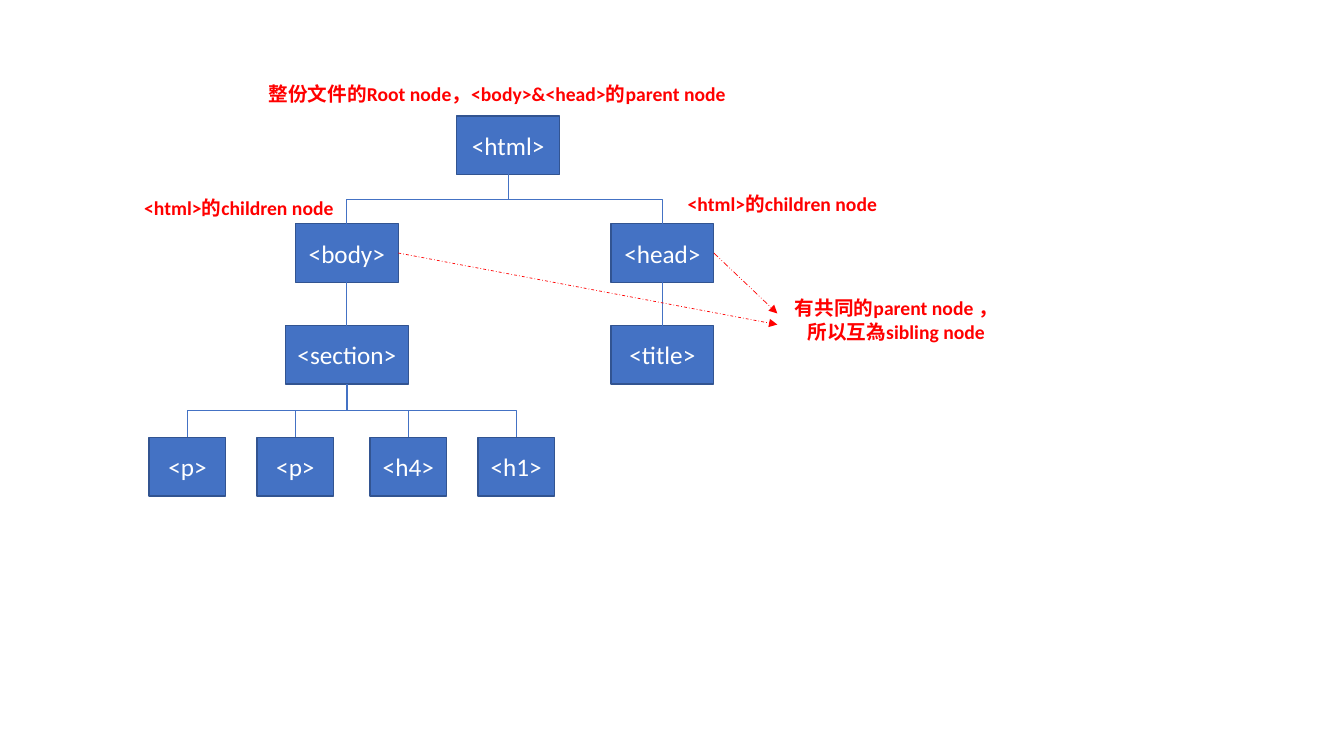
from pptx import Presentation
from pptx.dml.color import RGBColor
from pptx.enum.dml import MSO_LINE
from pptx.enum.shapes import MSO_CONNECTOR, MSO_SHAPE
from pptx.enum.text import MSO_ANCHOR, PP_ALIGN
from pptx.oxml.ns import qn
from pptx.util import Inches, Pt
from lxml import etree

RECTANGLE = MSO_SHAPE.RECTANGLE
STRAIGHT, ELBOW = MSO_CONNECTOR.STRAIGHT, MSO_CONNECTOR.ELBOW
CENTER, MIDDLE = PP_ALIGN.CENTER, MSO_ANCHOR.MIDDLE
DASH_DOT_DOT, DASH_DOT = MSO_LINE.DASH_DOT_DOT, MSO_LINE.DASH_DOT
TOP, BOTTOM, RIGHT = 0, 2, 3

BLUE = RGBColor(0x44, 0x72, 0xC4)
DARK_BLUE = RGBColor(0x32, 0x54, 0x91)
WHITE = RGBColor(0xFF, 0xFF, 0xFF)
RED = RGBColor(0xFF, 0x00, 0x00)
FONT = "Calibri"

NODE_HEIGHT = 0.58
NODES = {
    "html": ("<html>", 3.05, 0, 1.02),
    "body": ("<body>", 1.45, 1.07, 1.02),
    "head": ("<head>", 4.58, 1.07, 1.02),
    "section": ("<section>", 1.35, 2.08, 1.22),
    "title": ("<title>", 4.58, 2.08, 1.02),
    "first p": ("<p>", 0, 3.19, 0.76),
    "second p": ("<p>", 1.07, 3.19, 0.76),
    "h4": ("<h4>", 2.19, 3.19, 0.76),
    "h1": ("<h1>", 3.26, 3.19, 0.76),
}
CHILDREN = {
    "html": ["body", "head"],
    "body": ["section"],
    "head": ["title"],
    "section": ["first p", "second p", "h4", "h1"],
}
CHILD_LABEL = "<html>的children node"
LABELS = [
    ("整份文件的Root node，<body>&<head>的parent node", 0.4, 0, 6.58, 0.34),
    (CHILD_LABEL, 0, 1.13, 2.26, 0.34),
    (CHILD_LABEL, 5.39, 1.09, 2.26, 0.34),
    ("有共同的parent node ，所以互為sibling node", 6.52, 2.13, 2.26, 0.57),
]
SIBLING_ARROWS = [
    ("head", 6.47, 2.35, DASH_DOT_DOT),
    ("body", 6.47, 2.46, DASH_DOT),
]


def write_text(shape, text, size, color, bold=False):
    """Put one centred, wrapping paragraph into a shape."""
    shape.text_frame.word_wrap = True
    paragraph = shape.text_frame.paragraphs[0]
    paragraph.text = text
    paragraph.alignment = CENTER
    font = paragraph.font
    font.name, font.size, font.bold = FONT, Pt(size), bold
    font.color.rgb = color


def style_connector(connector, color):
    """Give a connector a thin line without a shadow."""
    connector.line.color.rgb = color
    connector.line.width = Pt(0.5)
    etree.SubElement(connector._element.spPr, qn("a:effectLst"))


def add_node(slide, text, left, top, width):
    """Add one tag box and return it."""
    shape = slide.shapes.add_shape(
        RECTANGLE, left, top, Inches(width), Inches(NODE_HEIGHT))
    shape.shadow.inherit = False
    shape.fill.solid()
    shape.fill.fore_color.rgb = BLUE
    shape.line.color.rgb = DARK_BLUE
    shape.line.width = Pt(1)
    frame = shape.text_frame
    frame.vertical_anchor = MIDDLE
    frame.margin_left = frame.margin_right = 0
    write_text(shape, text, 18, WHITE)
    return shape


def turn_elbow(connector, parent, child):
    """Turn an elbow so that it leaves the parent downwards."""
    start = parent.left + parent.width // 2
    end = child.left + child.width // 2
    top = parent.top + parent.height
    drop, span = child.top - top, abs(end - start)
    connector.left = (start + end - drop) // 2
    connector.top = top + (drop - span) // 2
    connector.width, connector.height = drop, span
    transform = connector._element.spPr.find(qn("a:xfrm"))
    goes_right = end > start
    transform.set("rot", "16200000" if goes_right else "5400000")
    transform.set("flipH", "1" if goes_right else "0")
    transform.set("flipV", "0")


def add_branch(slide, parent, child):
    """Join a parent node to a child node."""
    aligned = abs(parent.left + parent.width // 2
                  - child.left - child.width // 2) < Inches(0.01)
    connector = slide.shapes.add_connector(
        STRAIGHT if aligned else ELBOW, 0, 0, 0, 0)
    connector.begin_connect(parent, BOTTOM)
    connector.end_connect(child, TOP)
    if not aligned:
        turn_elbow(connector, parent, child)
    style_connector(connector, BLUE)


def add_tree(slide, left, top):
    """Draw the document tree and return its nodes by key."""
    nodes = {
        key: add_node(slide, text, left + Inches(x), top + Inches(y), width)
        for key, (text, x, y, width) in NODES.items()
    }
    for parent, children in CHILDREN.items():
        for child in children:
            add_branch(slide, nodes[parent], nodes[child])
    return nodes


def add_annotations(slide, nodes, left, top):
    """Add the red labels and the arrows from the sibling nodes."""
    for text, x, y, width, height in LABELS:
        label = slide.shapes.add_textbox(
            left + Inches(x), top + Inches(y), Inches(width), Inches(height))
        write_text(label, text, 14, RED, bold=True)
    for key, x, y, dash in SIBLING_ARROWS:
        arrow = slide.shapes.add_connector(
            STRAIGHT, 0, 0, left + Inches(x), top + Inches(y))
        arrow.begin_connect(nodes[key], RIGHT)
        style_connector(arrow, RED)
        arrow.line.dash_style = dash
        etree.SubElement(arrow.line._get_or_add_ln(), qn("a:tailEnd"),
                         type="triangle")


def main():
    """Build and save the presentation."""
    presentation = Presentation()
    presentation.slide_width = Inches(13.33)
    presentation.slide_height = Inches(7.5)
    slide = presentation.slides.add_slide(presentation.slide_layouts[6])
    nodes = add_tree(slide, Inches(1.48), Inches(1.15))
    add_annotations(slide, nodes, Inches(1.24), Inches(0.76))
    presentation.save("out.pptx")


if __name__ == "__main__":
    main()
